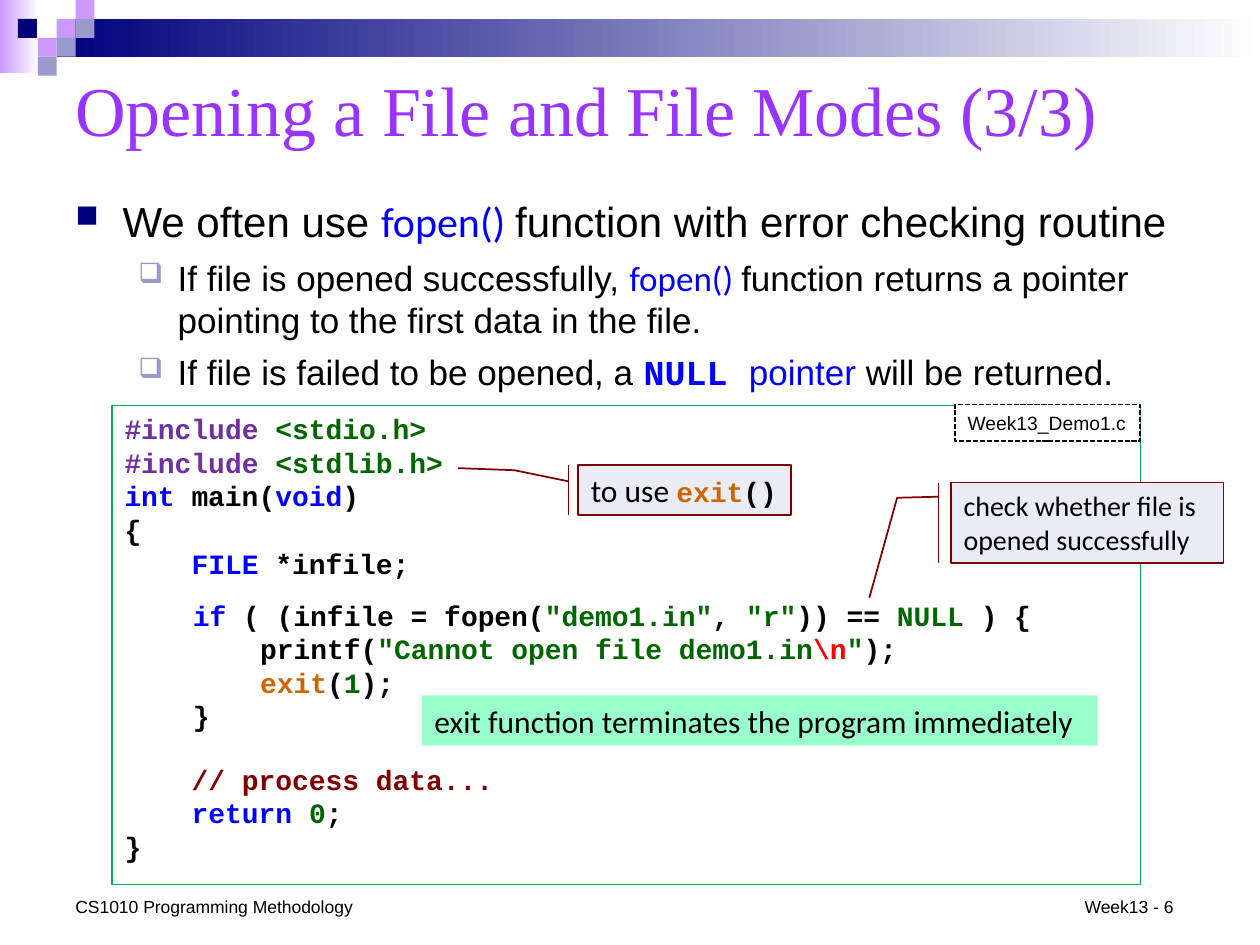
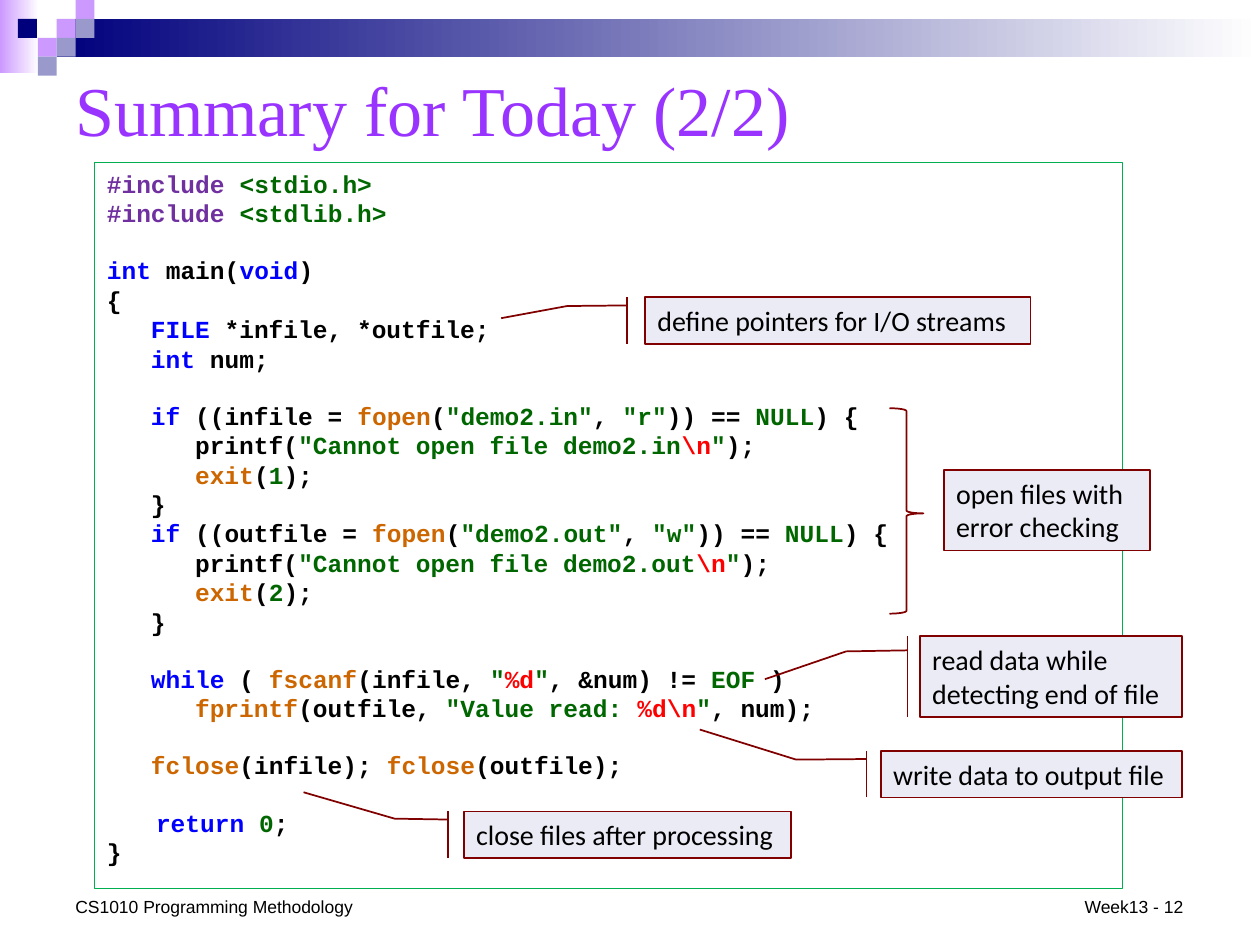
"""Build two lecture slides on opening files in C."""
from pptx import Presentation
from pptx import util as u
from pptx.dml import color
from pptx.enum import dml, shapes, text
from pptx.oxml import xmlchemy as xml

Pt = u.Pt
KIND = shapes.MSO_SHAPE
NAVY, LILAC, SLATE = "00007D", "CC99FF", "9999CC"
PALE, MAROON, GREEN, WHITE = "EBEBF5", "800000", "00B050", "FFFFFF"
BLACK, BLUE = "000000", "0000FF"
MONO = "Courier New"
STYLES = {
    "k": (MONO, BLACK, True), "b": (MONO, BLUE, True),
    "g": (MONO, "006600", True), "r": (MONO, "FF0000", True),
    "o": (MONO, "CC6600", True), "p": (MONO, "7030A0", True),
    "m": (MONO, MAROON, True), "A": ("Arial", BLACK, False),
    "B": ("Arial", BLUE, False), "C": ("Calibri", BLACK, False),
    "F": ("Calibri", BLUE, False), "T": ("Times New Roman", "9933FF", False),
}
SQUARES = [(3, 1, LILAC), (4, 0, LILAC), (4, 1, SLATE), (2, 2, LILAC),
           (0.95, 1, NAVY), (3, 2, SLATE), (2, 3, SLATE)]


def rgb(hex):
    return color.RGBColor.from_string(hex)


class Deck:
    def __init__(self):
        self.file = Presentation()
        self.file.slide_width, self.file.slide_height = Pt(720), Pt(540)

    def slide(self, title, page):
        self.page = self.file.slides.add_slide(self.file.slide_layouts[6])
        self.fade(self.shape((0, 0, 22.3, 41.8)), LILAC)
        self.fade(self.shape((32.4, 10.8, 687.6, 21.6)), NAVY)
        for col, row, hue in SQUARES:
            self.shape((col * 10.8, row * 10.8, 10.8, 10.8), hue)
        self.label((36, 30.2, 648, 63.4), "T" + title, 40, mid=True)
        self.label((36, 508.3, 174.2, 19.4), "ACS1010 Programming Methodology", 10)
        self.label((612.7, 508.3, 72.7, 19.4), f"AWeek13 - {page}", 10)

    def shape(self, at, fill=None, line=None, width=1, kind=KIND.RECTANGLE):
        item = self.page.shapes.add_shape(kind, *map(Pt, at))
        item.shadow.inherit = False
        if fill:
            item.fill.solid()
            item.fill.fore_color.rgb = rgb(fill)
        else:
            item.fill.background()
        if line:
            item.line.color.rgb = rgb(line)
            item.line.width = Pt(width)
        else:
            item.line.fill.background()
        return item

    def fade(self, item, hue):
        item.fill.gradient()
        item.fill.gradient_angle = 0
        for stop, tint in zip(item.fill.gradient_stops, (hue, WHITE)):
            stop.color.rgb = rgb(tint)

    def frame(self, item, mid=False):
        frame = item.text_frame
        frame.word_wrap = True
        anchor = text.MSO_ANCHOR
        frame.vertical_anchor = anchor.MIDDLE if mid else anchor.TOP
        return frame

    def para(self, frame, runs, size, left=0, hang=0, gap=0):
        first = frame.paragraphs[0]
        para = frame.add_paragraph() if first.runs else first
        para.alignment = text.PP_ALIGN.LEFT
        para.space_before = Pt(gap)
        self.indent(para, left, hang)
        for part in runs.split("~"):
            run = para.add_run()
            run.text = part[1:]
            face, hue, bold = STYLES[part[0]]
            run.font.name, run.font.bold, run.font.size = face, bold, Pt(size)
            run.font.color.rgb = rgb(hue)
        return para

    def indent(self, para, left, hang=0):
        props = para._p.get_or_add_pPr()
        props.set("marL", str(int(Pt(left))))
        props.set("indent", str(int(Pt(-hang))))

    def bullet(self, frame, runs, size, left, hang, mark):
        char, hue, scale = mark
        props = self.para(frame, runs, size, left, hang, 6)._p.get_or_add_pPr()
        tint = xml.OxmlElement("a:buClr")
        value = xml.OxmlElement("a:srgbClr")
        value.set("val", hue)
        tint.append(value)
        props.append(tint)
        for tag, key, val in (("a:buSzPct", "val", str(scale * 1000)),
                              ("a:buChar", "char", char)):
            node = xml.OxmlElement(tag)
            node.set(key, val)
            props.append(node)

    def label(self, at, runs, size, mid=False):
        box = self.page.shapes.add_textbox(*map(Pt, at))
        self.para(self.frame(box, mid), runs, size)

    def note(self, at, runs, size=16, fill=PALE, line=MAROON, mid=False):
        item = self.shape(at, fill, line)
        self.para(self.frame(item, mid), runs, size)
        return item

    def callout(self, at, runs, bends, size=16):
        item = self.shape(at, PALE, MAROON,
                          kind=KIND.LINE_CALLOUT_2_BORDER_AND_ACCENT_BAR)
        start, *rest = bends
        for spot, value in enumerate((start, -0.047, *rest)):
            item.adjustments[spot] = value
        frame = self.frame(item)
        return self.para(frame, runs, size)

    def code(self, item, lines, size, mid=False):
        frame, gap, paras = self.frame(item, mid), 0, []
        for line in lines.strip("\n").split("\n"):
            if not line:
                gap += size * 1.133
                continue
            bare = line.lstrip(" ")
            left = (len(line) - len(bare)) * size * 0.6
            paras.append(self.para(frame, bare, size, left, gap=gap))
            gap = 0
        return paras


OPEN = """
p#include ~g<stdio.h>
p#include ~g<stdlib.h>
bint ~kmain(~bvoid~k)
k{
    bFILE~k *infile;
    m// process data...
    breturn ~g0~k;
k}
"""
CHECK = r"""
 bif~k ( (infile = fopen(~g"demo1.in"~k, ~g"r"~k)) == ~gNULL ~k) {
     kprintf(~g"Cannot open file demo1.in~r\n~g"~k);
     oexit~k(~g1~k);
 k}
"""
COPY = r"""
p#include ~g<stdio.h>
p#include ~g<stdlib.h>

bint~k main(~bvoid~k)
k{
   bFILE~k *infile, *outfile;
   bint ~knum;

   bif~k ((infile = ~ofopen~k(~g"demo2.in"~k, ~g"r"~k)) == ~gNULL~k) {
      kprintf(~g"Cannot open file demo2.in~r\n~g"~k);
      oexit~k(~g1~k);
   k}
   bif~k ((outfile = ~ofopen~k(~g"demo2.out"~k, ~g"w"~k)) == ~gNULL~k) {
      kprintf(~g"Cannot open file demo2.out~r\n~g"~k);
      oexit~k(~g2~k);
   k}

   bwhile~k ( ~ofscanf~k(infile, ~g"~r%d~g"~k, &num) != ~gEOF ~k)
      ofprintf~k(outfile, ~g"Value read: ~r%d\n~g"~k, num);

   ofclose~k(infile); ~ofclose~k(outfile);

   breturn ~g0~k;
k}
"""

deck = Deck()

deck.slide("Opening a File and File Modes (3/3)", 6)
body = deck.frame(deck.page.shapes.add_textbox(*map(Pt, (36, 108, 648, 121))))
deck.bullet(body, "AWe often use ~Ffopen() ~Afunction with error checking routine",
            24, 27, 27, ("■", NAVY, 75))
for point in ("AIf file is opened successfully, ~Ffopen() ~Afunction returns "
              "a pointer pointing to the first data in the file.",
              "AIf file is failed to be opened, a ~bNULL ~Bpointer ~Awill be returned."):
    deck.bullet(body, point, 20, 58.5, 22.5, ("❑", SLATE, 80))
paras = deck.code(deck.shape((64.1, 231.8, 587.5, 273.6), WHITE, GREEN, 0.75), OPEN, 16)
paras[5].space_before = Pt(104.2)
tag = deck.note((545.8, 231.1, 105.8, 20.9), "AWeek13_Demo1.c", 11, WHITE, BLACK, True)
tag.line.dash_style = dml.MSO_LINE.SQUARE_DOT
deck.code(deck.page.shapes.add_textbox(*map(Pt, (93.6, 337.7, 535.7, 85))),
          CHECK, 16, True)
use = deck.callout((330.5, 265.7, 121.7, 28.8), "Cto use ~oexit~k()",
                   (0.326, 0.106, -0.301, 0.064, -0.565))
use.runs[0].font.size = Pt(18)
deck.callout((543.6, 275.8, 155.5, 46.1), "Ccheck whether file is opened successfully",
             (0.175, 0.188, -0.199, 1.428, -0.301))
deck.note((241.2, 397.4, 385.9, 28.8),
          "Cexit function terminates the program immediately", 18, "99FFCC", None)

deck.slide("Summary for Today (2/2)", 12)
paras = deck.code(deck.shape((54, 92.9, 587.5, 414.7), WHITE, GREEN, 0.75), COPY, 14)
deck.indent(paras[-2], 28.1)
deck.callout((368.6, 169.9, 220.3, 26.6), "Cdefine pointers for I/O streams",
             (0.175, 0.188, -0.202, 0.449, -0.373))
brace = deck.shape((508.3, 233.3, 19.4, 117.4), None, MAROON, kind=KIND.RIGHT_BRACE)
brace.adjustments[0], brace.adjustments[1] = 0.083, 0.512
deck.note((539.3, 268.6, 118.1, 46.1), "Copen files with error checking")
deck.callout((525.6, 363.6, 149.8, 46.1), "Cread data while detecting end of file",
             (0.175, 0.188, -0.281, 0.533, -0.591))
deck.callout((265, 463.7, 187.2, 26.6), "Cclose files after processing",
             (0.175, 0.156, -0.211, -0.412, -0.489))
deck.callout((503.3, 429.1, 172.1, 26.6), "Cwrite data to output file",
             (0.175, 0.188, -0.281, -0.459, -0.601))

deck.file.save("out.pptx")
